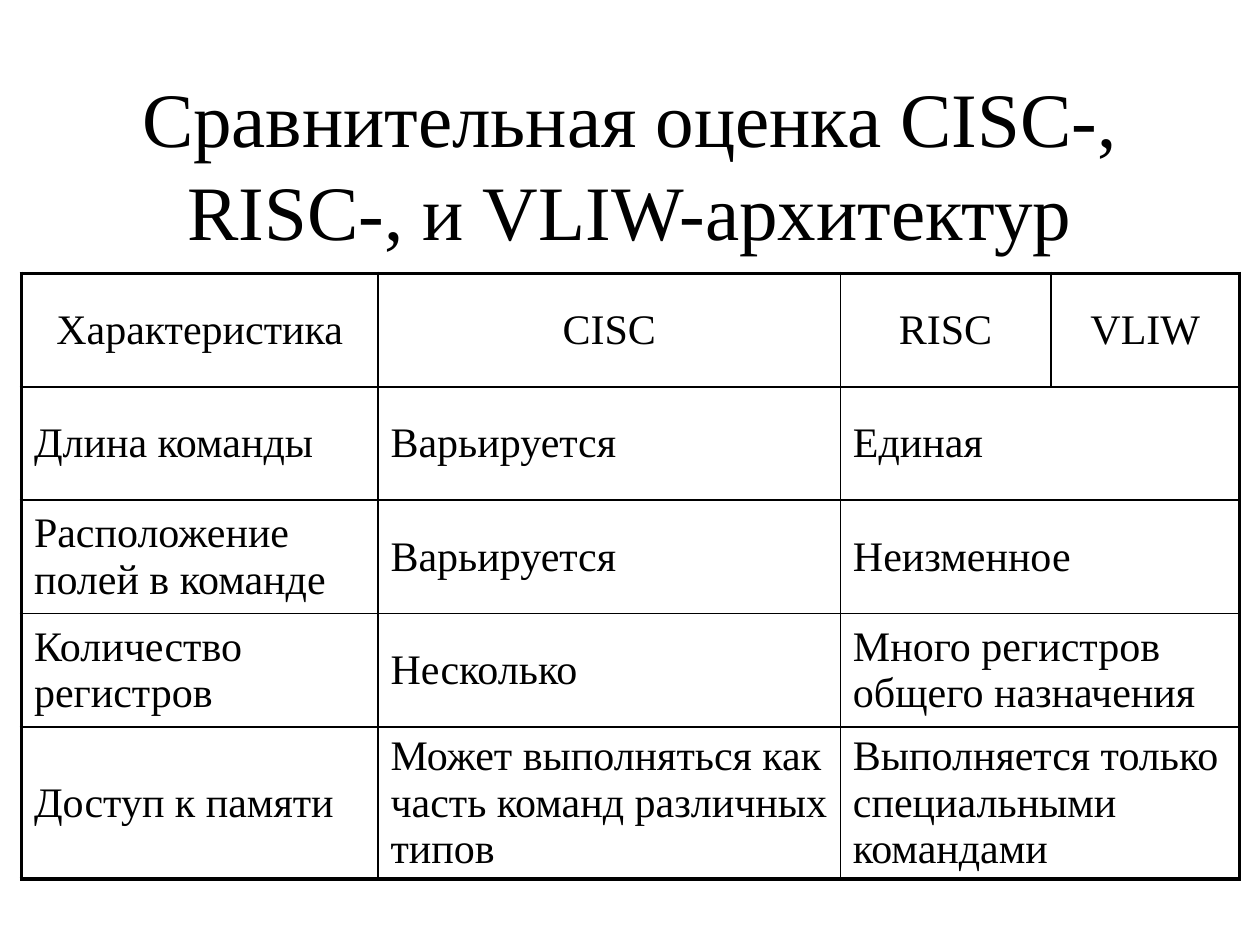
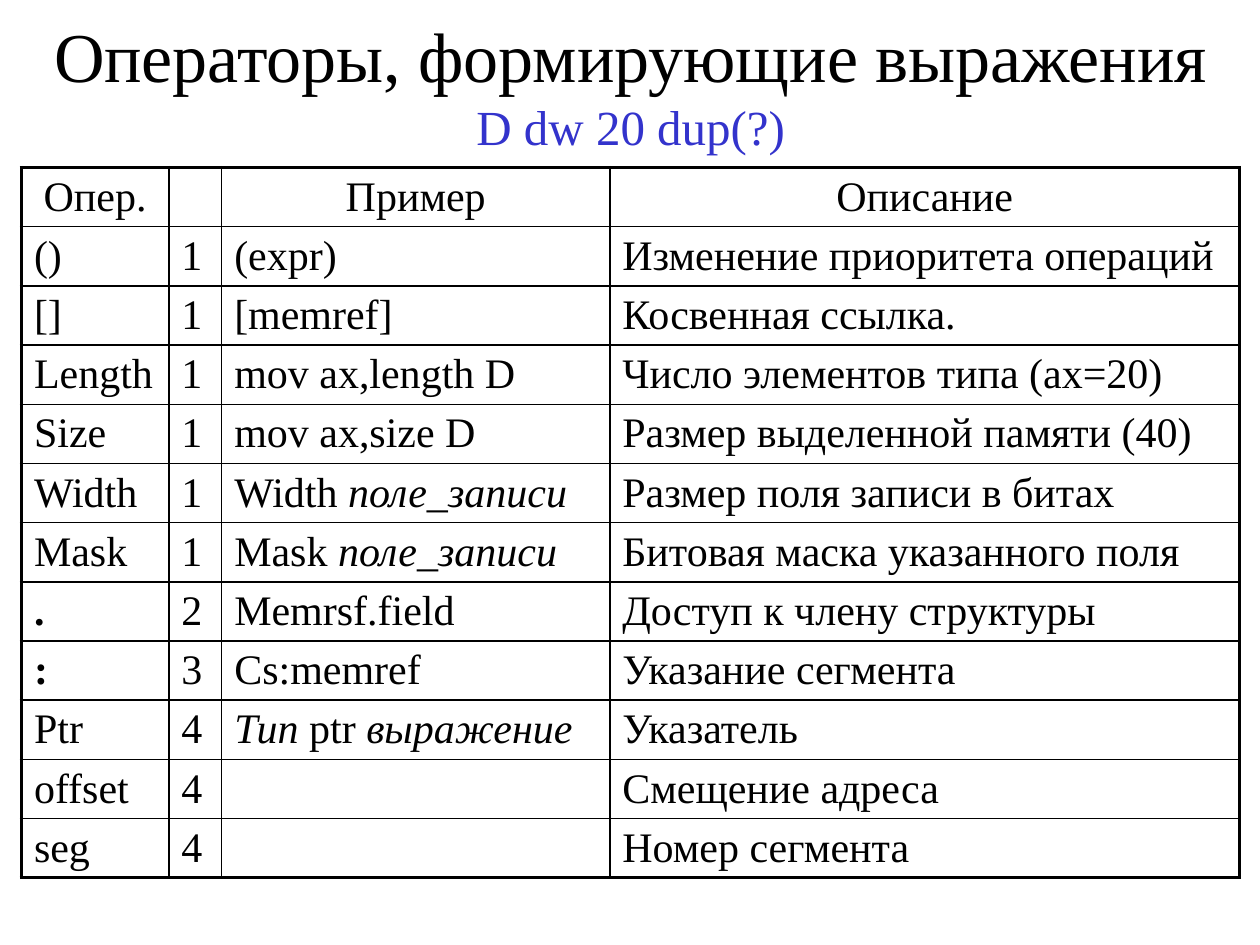
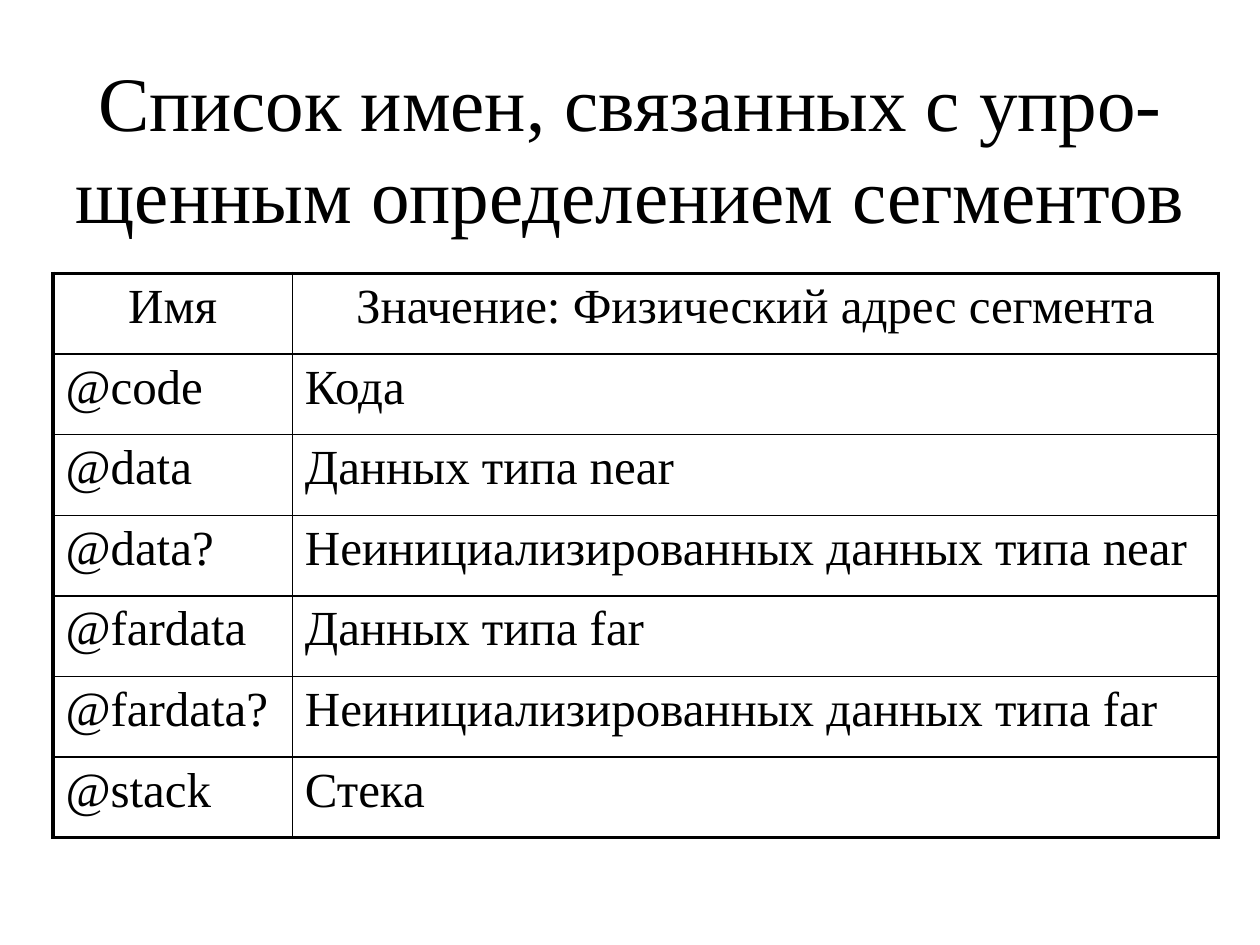
from lxml.etree import SubElement
from pptx import Presentation
from pptx.dml.color import RGBColor
from pptx.enum.text import MSO_ANCHOR as Anchor, MSO_AUTO_SIZE as AutoSize, PP_ALIGN as Align
from pptx.oxml.ns import qn
from pptx.util import Inches, Pt

FONT = "Times New Roman"
BLACK, BLUE = "000000", "3333CC"
OUTER, INNER = 2.25, 1  # border widths in points
TITLE_ONLY = 5


def color(hex_string):
    return RGBColor.from_string(hex_string)


def format_run(run, size, hex_string=BLACK, style=""):
    font = run.font
    font.name, font.size = FONT, Pt(size)
    font.color.rgb = color(hex_string)
    if style:
        font.bold, font.italic = style == "bold", style == "italic"


def set_borders(cell, widths):
    """Draw the left, right, top and bottom edges with the given widths."""
    for side, width in zip("LRTB", widths):
        edge = SubElement(cell._tc.get_or_add_tcPr(), qn("a:ln" + side), w=str(Pt(width)))
        fill = SubElement(edge, qn("a:solidFill"))
        SubElement(fill, qn("a:srgbClr"), val=BLACK)


def fill_cell(cell, content, size, align, anchor):
    """Content is plain text or a list of (text, style) parts."""
    paragraph = cell.text_frame.paragraphs[0]
    paragraph.alignment = align
    cell.vertical_anchor = anchor
    parts = [(content, "")] if isinstance(content, str) else content
    for text, style in parts:
        if text:
            run = paragraph.add_run()
            run.text = text
            format_run(run, size, style=style)


def add_title(slide, box, lines):
    """Lines are (text, size, colour), separated by line breaks."""
    title = slide.shapes.title
    title.left, title.top, title.width, title.height = map(Inches, box)
    frame = title.text_frame
    frame.text = "\v".join(text for text, _, _ in lines)
    frame.word_wrap, frame.auto_size = True, AutoSize.NONE
    frame.vertical_anchor = Anchor.MIDDLE
    heading = frame.paragraphs[0]
    heading.alignment = Align.CENTER
    for run, (_, size, hex_string) in zip(heading.runs, lines):
        format_run(run, size, hex_string)


def add_grid(slide, left, top, widths, heights, rows, size, middle_rows=0):
    """Ruled table with a centred header; None joins a cell to its left one."""
    last_row, last_column = len(rows) - 1, len(widths) - 1
    grid = slide.shapes.add_table(
        len(rows), len(widths), Inches(left), Inches(top),
        Inches(sum(widths)), Inches(sum(heights))).table
    grid.first_row = grid.horz_banding = False
    for column, width in zip(grid.columns, widths):
        column.width = Inches(width)
    for r, (row, height) in enumerate(zip(rows, heights)):
        grid.rows[r].height = Inches(height)
        align = Align.LEFT if r else Align.CENTER
        anchor = Anchor.MIDDLE if r < middle_rows else Anchor.TOP
        for c, content in enumerate(row):
            cell = grid.cell(r, c)
            joined = c < last_column and row[c + 1] is None
            on_edge = (c == 0, c == last_column or joined, r == 0, r == last_row)
            set_borders(cell, [OUTER if edge else INNER for edge in on_edge])
            cell.fill.background()
            if content is None:
                grid.cell(r, c - 1).merge(cell)
            else:
                fill_cell(cell, content, size, align, anchor)


def add_table_slide(deck, title_box, title_lines, **grid):
    slide = deck.slides.add_slide(deck.slide_layouts[TITLE_ONLY])
    add_title(slide, title_box, title_lines)
    add_grid(slide, **grid)


# Content of the three tables
architectures = [
    ("Характеристика", "CISC", "RISC", "VLIW"),
    ("Длина команды", "Варьируется", "Единая", None),
    ("Расположение полей в команде", "Варьируется", "Неизменное", None),
    ("Количество регистров", "Несколько", "Много регистров общего назначения", None),
    ("Доступ к памяти", "Может выполняться как часть команд различных типов",
     "Выполняется только специальными командами", None),
]
record_field = ("поле_записи", "italic")
operators = [
    ("Опер.", "", "Пример", "Описание"),
    ("()", "1", "(expr)", "Изменение приоритета операций"),
    ("[]", "1", "[memref]", "Косвенная ссылка."),
    ("Length", "1", "mov ax,length D", "Число элементов типа (ax=20)"),
    ("Size", "1", "mov ax,size D", "Размер выделенной памяти (40)"),
    ("Width", "1", [("Width ", ""), record_field], "Размер поля записи в битах"),
    ("Mask", "1", [("Mask ", ""), record_field], "Битовая маска указанного поля"),
    ([(".", "bold")], "2", "Memrsf.field", "Доступ к члену структуры"),
    ([(":", "bold")], "3", "Cs:memref", "Указание сегмента"),
    ("Ptr", "4", [("Тип ", "italic"), ("ptr ", ""), ("выражение", "italic")], "Указатель"),
    ("offset", "4", "", "Смещение адреса"),
    ("seg", "4", "", "Номер сегмента"),
]
segment_names = [
    ("Имя", "Значение: Физический адрес сегмента"),
    ("@code", "Кода"),
    ("@data", "Данных типа near"),
    ("@data?", "Неинициализированных данных типа near"),
    ("@fardata", "Данных типа far"),
    ("@fardata?", "Неинициализированных данных типа far"),
    ("@stack", "Стека"),
]

deck = Presentation()
deck.slide_width, deck.slide_height = Inches(10), Inches(7.5)

# Slide 1: comparison of architectures
add_table_slide(
    deck, (0.75, 0.67, 8.5, 1.25),
    [("Сравнительная оценка CISC-, RISC-, и VLIW-архитектур", 44, BLACK)],
    left=0.17, top=2.17, widths=[2.83, 3.67, 1.67, 1.5], heights=[0.9] * 4 + [1.2],
    rows=architectures, size=24, middle_rows=len(architectures))

# Slide 2: operators
add_table_slide(
    deck, (0.17, 0, 9.67, 1.33),
    [("Операторы, формирующие выражения", 40, BLACK), ("D dw 20 dup(?)", 28, BLUE)],
    left=0.17, top=1.33, widths=[1.17, 0.42, 3.08, 5], heights=[0.47] * len(operators),
    rows=operators, size=24, middle_rows=2)

# Slide 3: predefined segment names
add_table_slide(
    deck, (0.17, 0.25, 9.67, 1.83),
    [("Список имен, связанных с упро-щенным определением сегментов", 44, BLACK)],
    left=0.42, top=2.17, widths=[1.9, 7.35], heights=[0.64] * len(segment_names),
    rows=segment_names, size=28)

deck.save("out.pptx")
